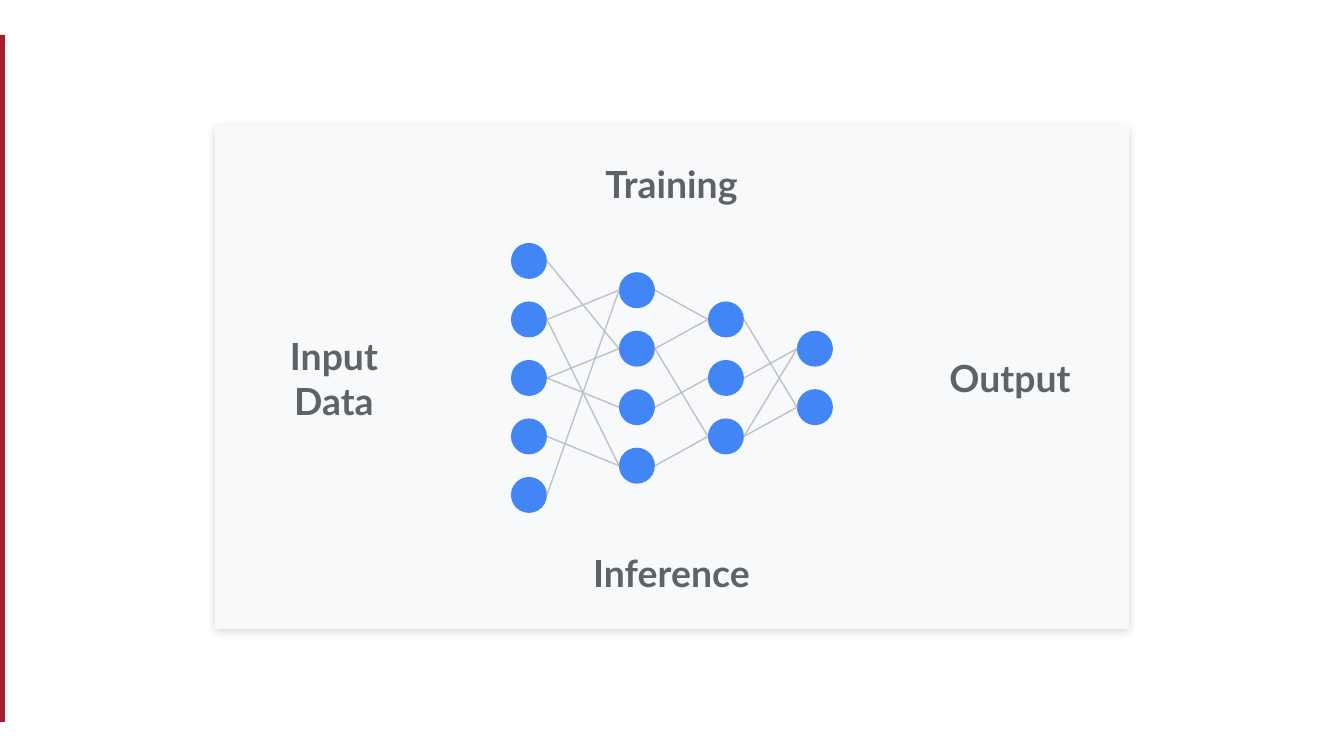
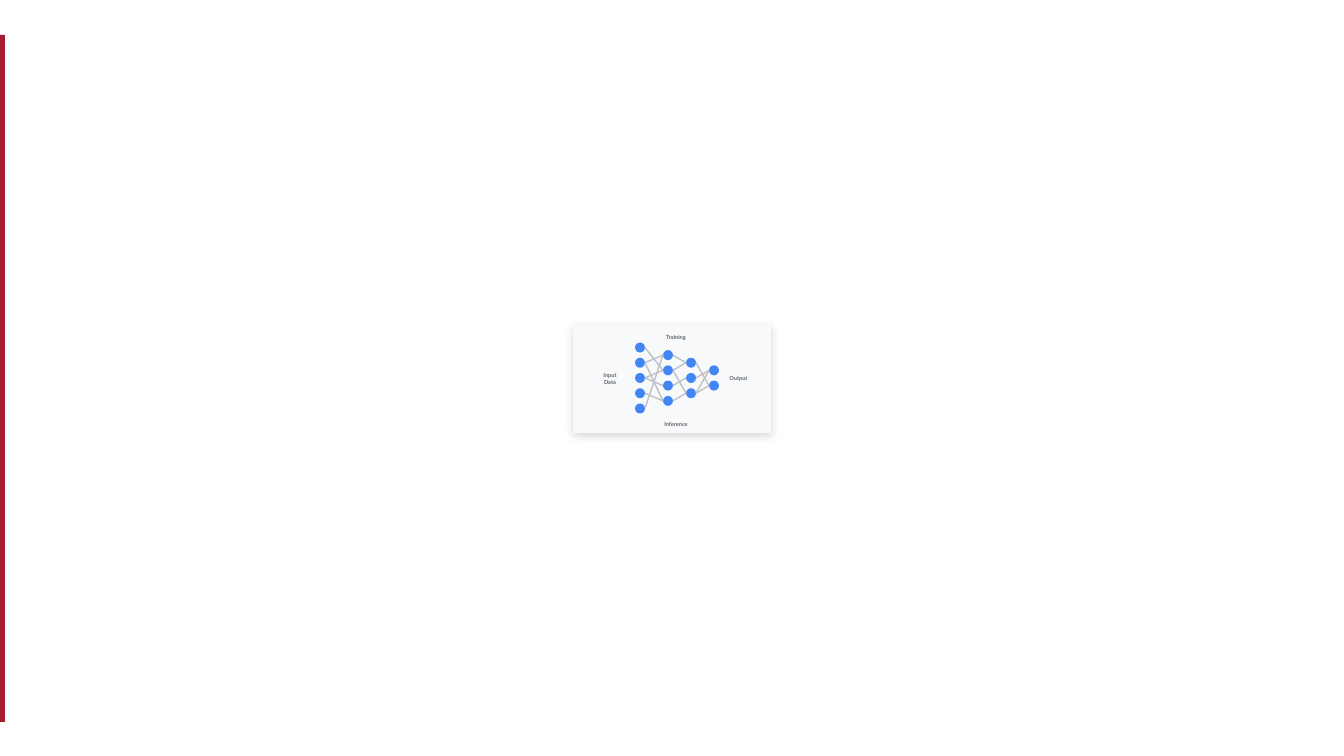
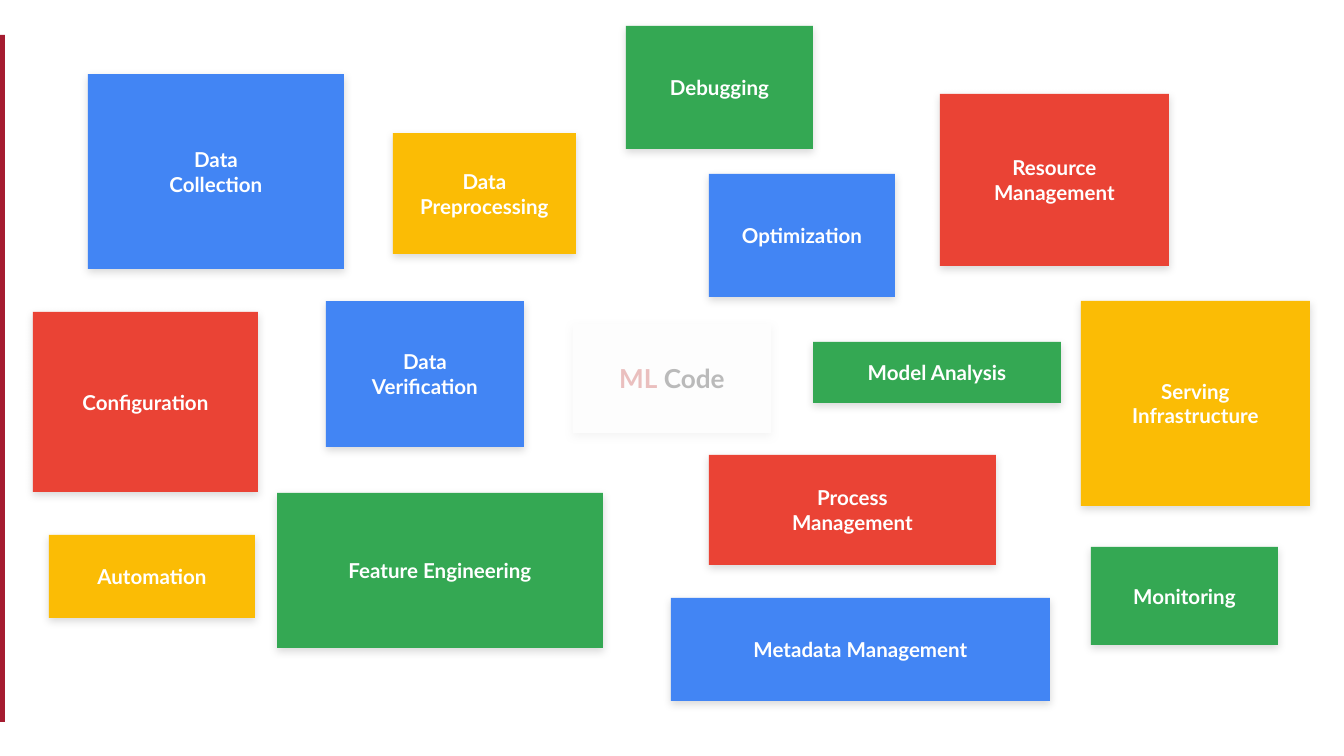
from lxml import etree
from pptx import Presentation
from pptx.dml.color import RGBColor
from pptx.enum.shapes import MSO_CONNECTOR, MSO_SHAPE
from pptx.enum.text import MSO_ANCHOR, PP_ALIGN
from pptx.oxml.ns import qn
from pptx.util import Emu, Pt

RECTANGLE, ELLIPSE = MSO_SHAPE.RECTANGLE, MSO_SHAPE.OVAL
STRAIGHT = MSO_CONNECTOR.STRAIGHT
MIDDLE, CENTER = MSO_ANCHOR.MIDDLE, PP_ALIGN.CENTER

# Shared look
PX = 9144000 / 1344
SLIDE_SIZE = (1344, 756)
FONT = "Lato"
BLUE, RED, YELLOW, GREEN = "4285F4", "EA4335", "FBBC05", "34A853"
WHITE, CARD, GRAY, EDGE, CRIMSON = "FFFFFF", "F8F9FA", "5F6368", "BDC1C6", "A51C30"
SIDE_BAR = (-3, 35, 8, 687)
SHADOW = {"blurRad": "57150", "dist": "19050", "dir": "5400000",
          "algn": "bl", "rotWithShape": "0"}
SHADOW_ALPHA = "15000"

# Neural network: nodes per layer, and links (upper node, next node) per gap
LAYERS = (5, 4, 3, 2)
LINKS = (
    ((4, 0), (3, 3), (2, 1), (1, 3), (1, 0), (0, 1), (2, 2)),
    ((3, 2), (2, 1), (1, 2), (1, 0), (0, 0)),
    ((2, 1), (2, 0), (1, 0), (0, 1)),
)
SMALL_CARD = (573, 324, 198, 109)
NETWORK_SLIDES = (
    {"card": (215, 126, 914, 503), "node": 36, "lefts": (511, 619, 708, 797),
     "span": 234, "middle": 378, "size": 20,
     "labels": {"Input Data": (246, 318, 176, 120), "Output": (922, 318, 176, 120),
                "Inference": (556, 513, 231, 120), "Training": (556, 124, 231, 120)}},
    {"card": SMALL_CARD, "node": 10, "lefts": (635, 663, 686, 709),
     "span": 61, "middle": 378, "size": 3,
     "labels": {"Input Data": (586, 363, 48, 31), "Output": (711, 363, 55, 31),
                "Inference": (646, 403, 60, 42), "Training": (646, 312, 60, 51)}},
)

# Parts of a machine learning system
ML_CODE = (("ML", "B31412"), (" Code", "000000"))
VEIL, VEIL_ALPHA = (560, 312, 228, 134), "73000"
SYSTEM_PARTS = (
    ("Configuration", RED, (33, 312, 225, 180)),
    ("Automation", YELLOW, (49, 535, 206, 83)),
    ("Feature Engineering", GREEN, (277, 493, 326, 155)),
    ("Data\nCollection", BLUE, (88, 74, 256, 195)),
    ("Data\nVerification", BLUE, (326, 301, 198, 146)),
    ("Data\nPreprocessing", YELLOW, (393, 133, 183, 121)),
    ("Metadata Management", BLUE, (671, 598, 379, 103)),
    ("Monitoring", GREEN, (1091, 547, 187, 98)),
    ("Serving\nInfrastructure", YELLOW, (1081, 301, 229, 205)),
    ("Resource\nManagement", RED, (940, 94, 229, 172)),
    ("Model Analysis", GREEN, (813, 342, 248, 61)),
    ("Process\nManagement", RED, (709, 455, 287, 110)),
    ("Optimization", BLUE, (709, 174, 186, 123)),
    ("Debugging", GREEN, (626, 26, 187, 123)),
)


def px(*lengths):
    return [Emu(round(length * PX)) for length in lengths]


def color(hex_value):
    return RGBColor.from_string(hex_value)


def add_alpha(color_element, alpha):
    etree.SubElement(color_element, qn("a:alpha"), val=alpha)


def add_block(shapes, kind, box, fill, shadow=False):
    shape = shapes.add_shape(kind, *px(*box))
    shape.fill.solid()
    shape.fill.fore_color.rgb = color(fill)
    shape.line.fill.background()
    shape.shadow.inherit = False
    if shadow:
        effects = shape._element.spPr.find(qn("a:effectLst"))
        outer = etree.SubElement(effects, qn("a:outerShdw"), SHADOW)
        add_alpha(etree.SubElement(outer, qn("a:srgbClr"), val="000000"), SHADOW_ALPHA)
    return shape


def write(shape, paragraphs, size):
    """Each paragraph is a sequence of (text, colour) runs."""
    frame = shape.text_frame
    inset, = px(13.44)
    layout = {"word_wrap": True, "vertical_anchor": MIDDLE, "margin_left": inset,
              "margin_right": inset, "margin_top": inset, "margin_bottom": inset}
    for name, value in layout.items():
        setattr(frame, name, value)
    for index, runs in enumerate(paragraphs):
        paragraph = frame.add_paragraph() if index else frame.paragraphs[0]
        paragraph.alignment = CENTER
        for text, text_color in runs:
            run = paragraph.add_run()
            run.text = text
            for name, value in {"name": FONT, "size": Pt(size), "bold": True}.items():
                setattr(run.font, name, value)
            run.font.color.rgb = color(text_color)


def add_link(shapes, start, end):
    connector = shapes.add_connector(STRAIGHT, *px(*start, *end))
    connector.line.color.rgb = color(EDGE)
    connector.line.width = Pt(0.75)
    etree.SubElement(connector._element.spPr, qn("a:effectLst"))


def add_network(slide, node, lefts, span, middle):
    shapes = slide.shapes.add_group_shape().shapes
    pitch = span / (LAYERS[0] - 1)
    centers = [[middle + (row - (count - 1) / 2) * pitch for row in range(count)]
               for count in LAYERS]
    for left, column in zip(lefts, centers):
        for center in column:
            add_block(shapes, ELLIPSE, (left, center - node / 2, node, node), BLUE)
    for layer, links in enumerate(LINKS):
        for first, second in links:
            add_link(shapes, (lefts[layer] + node, centers[layer][first]),
                     (lefts[layer + 1], centers[layer + 1][second]))


def add_slide(presentation):
    slide = presentation.slides.add_slide(presentation.slide_layouts[6])
    add_block(slide.shapes, RECTANGLE, SIDE_BAR, CRIMSON)
    return slide


def add_network_slide(presentation, card, labels, size, **network):
    slide = add_slide(presentation)
    add_block(slide.shapes, RECTANGLE, card, CARD, shadow=True)
    add_network(slide, **network)
    for text, box in labels.items():
        write(slide.shapes.add_textbox(*px(*box)), [[(text, GRAY)]], size)


def add_system_slide(presentation):
    slide = add_slide(presentation)
    card = add_block(slide.shapes, RECTANGLE, SMALL_CARD, CARD, shadow=True)
    write(card, [ML_CODE], 14)
    for text, fill, box in SYSTEM_PARTS:
        part = add_block(slide.shapes, RECTANGLE, box, fill, shadow=True)
        write(part, [[(line, WHITE)] for line in text.split("\n")], 11)
    # Translucent veil that fades the centre card
    veil = add_block(slide.shapes, RECTANGLE, VEIL, WHITE)
    add_alpha(veil._element.spPr.find(qn("a:solidFill"))[0], VEIL_ALPHA)


def main():
    presentation = Presentation()
    presentation.slide_width, presentation.slide_height = px(*SLIDE_SIZE)
    for content in NETWORK_SLIDES:
        add_network_slide(presentation, **content)
    add_system_slide(presentation)
    presentation.save("out.pptx")


if __name__ == "__main__":
    main()
